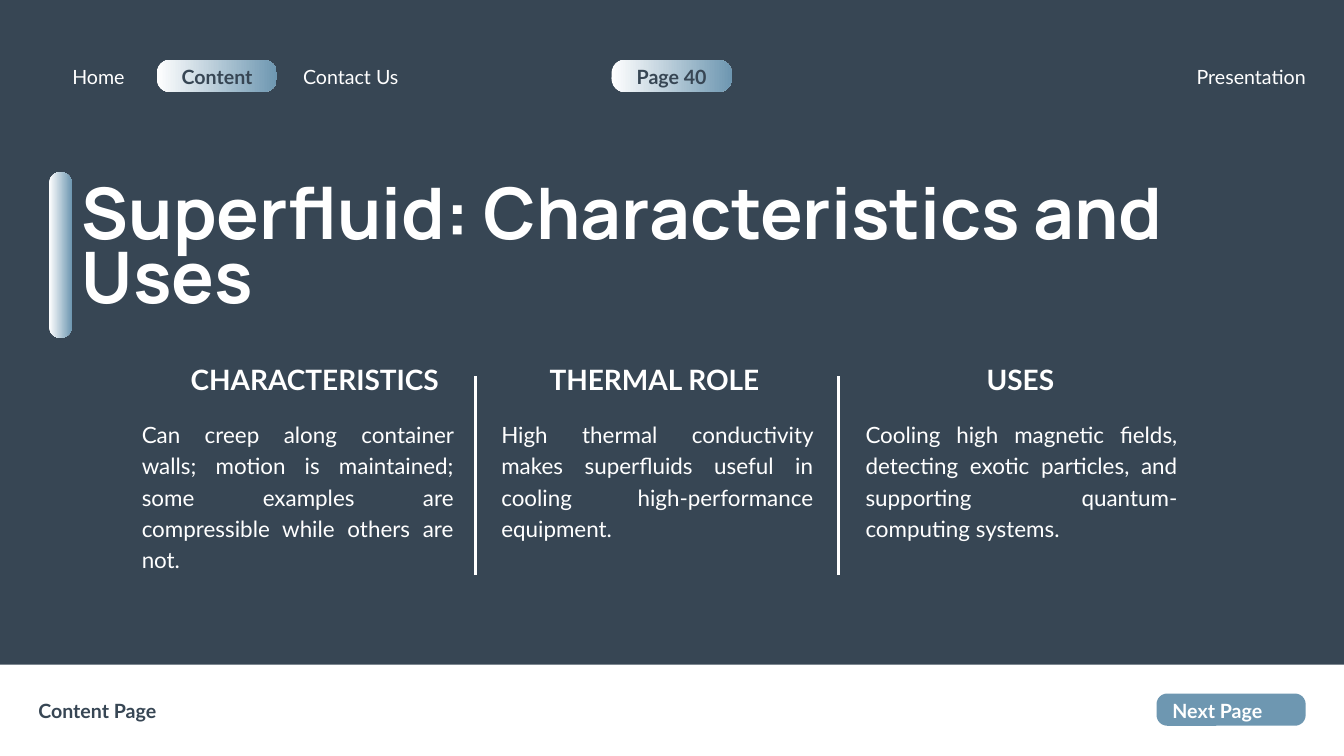
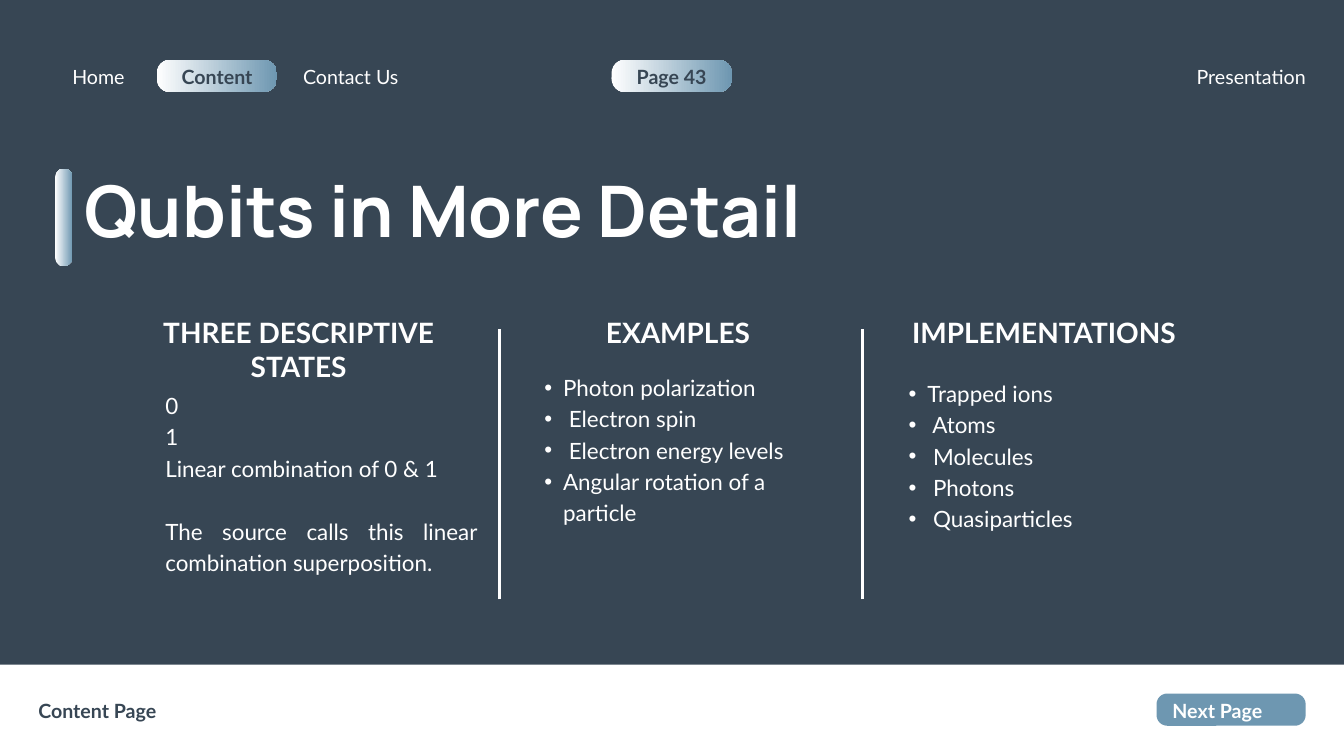
import pptx
import pptx.util
import pptx.dml.color
import pptx.enum.shapes
import pptx.enum.text
import lxml.etree

PX = 9144  # 100 px to the inch
RGB = pptx.dml.color.RGBColor
NAVY = RGB(0x37, 0x46, 0x54)
BLUE = RGB(0x6E, 0x97, 0xB1)
WHITE = RGB(0xFF, 0xFF, 0xFF)
Pt = pptx.util.Pt
KIND = pptx.enum.shapes.MSO_SHAPE
ALIGN = pptx.enum.text.PP_ALIGN
LEFT, MID, RIGHT, JUST = ALIGN.LEFT, ALIGN.CENTER, ALIGN.RIGHT, ALIGN.JUSTIFY
A = "{http://schemas.openxmlformats.org/drawingml/2006/main}"


def block(slide, x, y, w, h, color=None, radius=0):
    """Draw a plain block; without a colour it fades from white to blue."""
    kind = KIND.ROUNDED_RECTANGLE if radius else KIND.RECTANGLE
    shape = slide.shapes.add_shape(kind, x * PX, y * PX, w * PX, h * PX)
    shape.shadow.inherit = False
    shape.line.fill.background()
    if radius:
        shape.adjustments[0] = radius / min(w, h)
    if color is not None:
        shape.fill.solid()
        shape.fill.fore_color.rgb = color
        return
    shape.fill.gradient()
    shape.fill.gradient_angle = 0
    for stop, tone, place in zip(shape.fill.gradient_stops, (WHITE, BLUE), (0, 1)):
        stop.color.rgb = tone
        stop.position = place


def write(slide, lines, x, y, w, h, size=21, pitch=29.4, font="Lato", color=WHITE,
          bold=False, align=LEFT, bullet=False, gap=0):
    """Write one paragraph per line; gap is the space before the last one."""
    box = slide.shapes.add_textbox(x * PX, y * PX, w * PX, h * PX)
    frame = box.text_frame
    frame.word_wrap = True
    frame.margin_left = frame.margin_right = 0
    frame.margin_top = frame.margin_bottom = 0
    for i, line in enumerate(lines):
        para = frame.paragraphs[0] if i == 0 else frame.add_paragraph()
        para.alignment = align
        para.line_spacing = Pt(pitch)
        if gap and i == len(lines) - 1:
            para.space_before = Pt(gap)
        if bullet:
            para.level = 1
            props = para._p.get_or_add_pPr()
            props.set("marL", str(57 * PX))
            props.set("indent", str(-28 * PX))
            lxml.etree.SubElement(props, A + "buFont", typeface="Arial")
            lxml.etree.SubElement(props, A + "buChar", char="•")
        run = para.add_run()
        run.text = line
        run.font.name = font
        run.font.size = Pt(size)
        run.font.bold = bold
        run.font.color.rgb = color


# Columns: heading, its left, top, width and height, top of body, body lines, bullets, gap
PAGES = [
    dict(
        num=40, title="Superfluid: Characteristics and Uses",
        spot=(122, 282, 1689, 205), bar=(73, 256, 34, 247),
        shift=0, rule=(559, 856),
        cols=[
            ("CHARACTERISTICS", (270, 540, 397, 48), 620,
             ["Can creep along container walls; motion is maintained; "
              "some examples are compressible while others are not."], False, 0),
            ("THERMAL ROLE", (776, 539, 396, 50), 620,
             ["High thermal conductivity makes superfluids useful in "
              "cooling high-performance equipment."], False, 0),
            ("USES", (1288, 539, 461, 50), 620,
             ["Cooling high magnetic fields, detecting exotic particles, "
              "and supporting quantum-computing systems."], False, 0),
        ],
    ),
    dict(
        num=43, title="Qubits in More Detail",
        spot=(126, 280, 1477, 111), bar=(82, 251, 26, 145),
        shift=35, rule=(489, 892),
        cols=[
            ("THREE DESCRIPTIVE STATES", (213, 470, 463, 146), 577,
             ["0", "1", "Linear combination of 0 & 1",
              "The source calls this linear combination superposition."], False, 33.6),
            ("EXAMPLES", (811, 469, 396, 50), 550,
             ["Photon polarization", " Electron spin", " Electron energy levels",
              "Angular rotation of a particle"], True, 0),
            ("IMPLEMENTATIONS", (1323, 469, 461, 50), 559,
             ["Trapped ions", " Atoms", " Molecules", " Photons",
              " Quasiparticles"], True, 0),
        ],
    ),
]
BODY_X = (211, 746, 1288)
RULE_X = (708, 1248)

deck = pptx.Presentation()
deck.slide_width = 2000 * PX
deck.slide_height = 1125 * PX

for page in PAGES:
    slide = deck.slides.add_slide(deck.slide_layouts[6])
    slide.background.fill.solid()
    slide.background.fill.fore_color.rgb = NAVY

    # Top menu and footer
    for x in (910, 233):
        block(slide, x, 89, 179, 48, radius=20)
    block(slide, 0, 989, 2000, 136, WHITE)
    block(slide, 1721, 1032, 222, 48, BLUE, radius=16)
    for label, x, y, w, color, bold, align in (
        (f"Page {page['num']}", 935, 91, 129, NAVY, True, MID),
        ("Content", 259, 91, 128, NAVY, True, MID),
        ("Contact Us", 434, 91, 176, WHITE, False, MID),
        ("Presentation", 1470, 91, 473, WHITE, False, RIGHT),
        ("Home", 82, 91, 129, WHITE, False, MID),
        ("Next Page", 1737, 1034, 149, WHITE, True, MID),
        ("Content Page", 57, 1034, 227, NAVY, True, LEFT),
    ):
        write(slide, [label], x, y, w, 39, color=color, bold=bold, align=align)

    # Title with its bar
    block(slide, *page["bar"], radius=page["bar"][2] / 2)
    write(slide, [page["title"]], *page["spot"], size=76.2, pitch=68.5,
          font="Manrope", bold=True)

    # Three columns
    for x, (head, place, top, lines, bullet, gap) in zip(BODY_X, page["cols"]):
        write(slide, [head], *place, size=30, pitch=36, bold=True, align=MID)
        write(slide, lines, x + page["shift"], top, 464, 46 * len(lines) + 46,
              size=24, pitch=33.6, align=LEFT if bullet else JUST,
              bullet=bullet, gap=gap)

    # Rules between columns
    top, base = page["rule"]
    for x in RULE_X:
        x = (x + page["shift"]) * PX
        rule = slide.shapes.add_connector(
            pptx.enum.shapes.MSO_CONNECTOR.STRAIGHT, x, base * PX, x, top * PX)
        rule.line.color.rgb = WHITE
        rule.line.width = Pt(3)
        lxml.etree.SubElement(rule._element.spPr, A + "effectLst")

deck.save("out.pptx")
